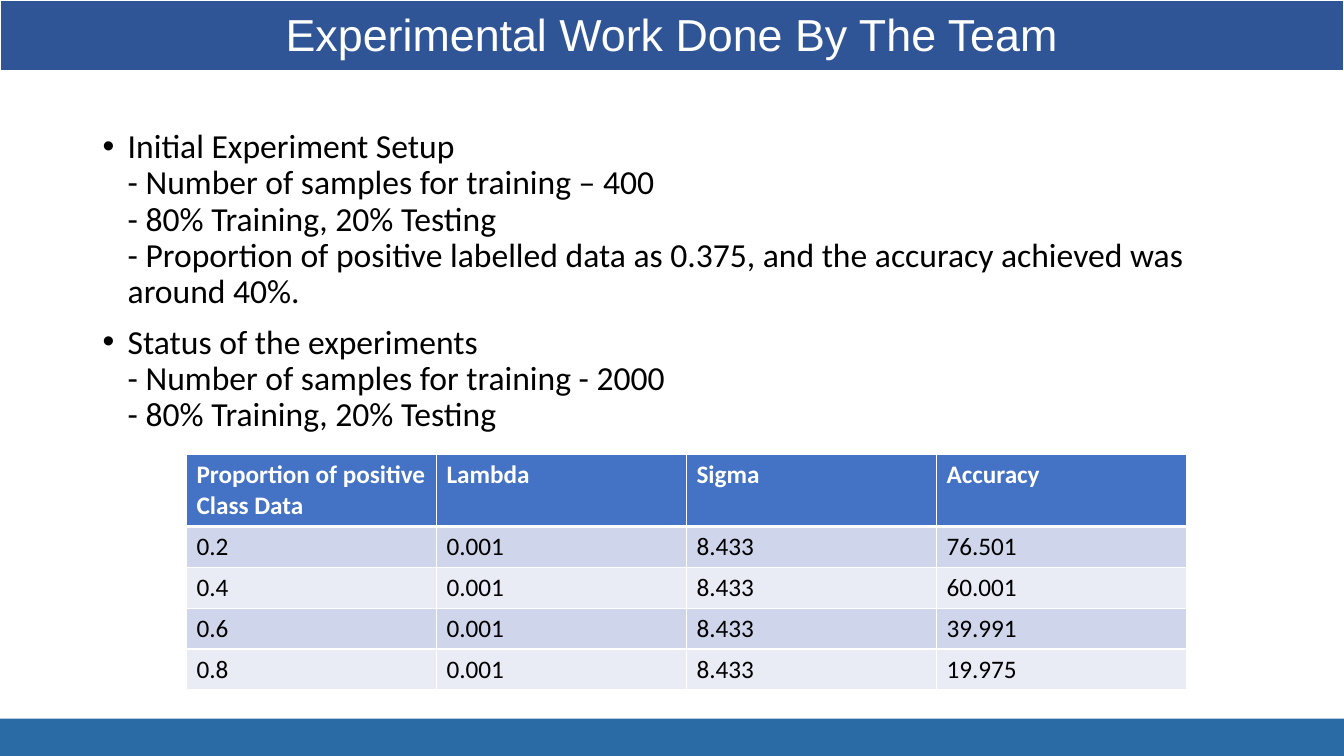
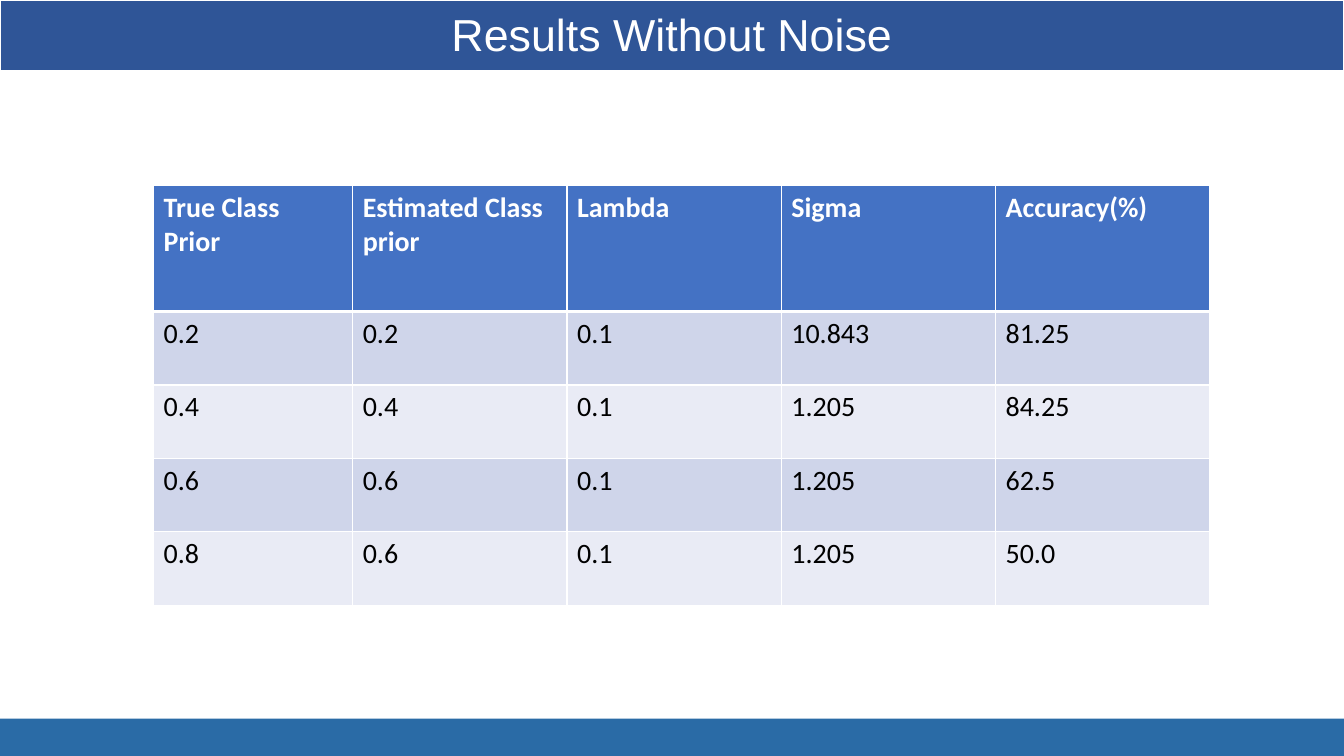
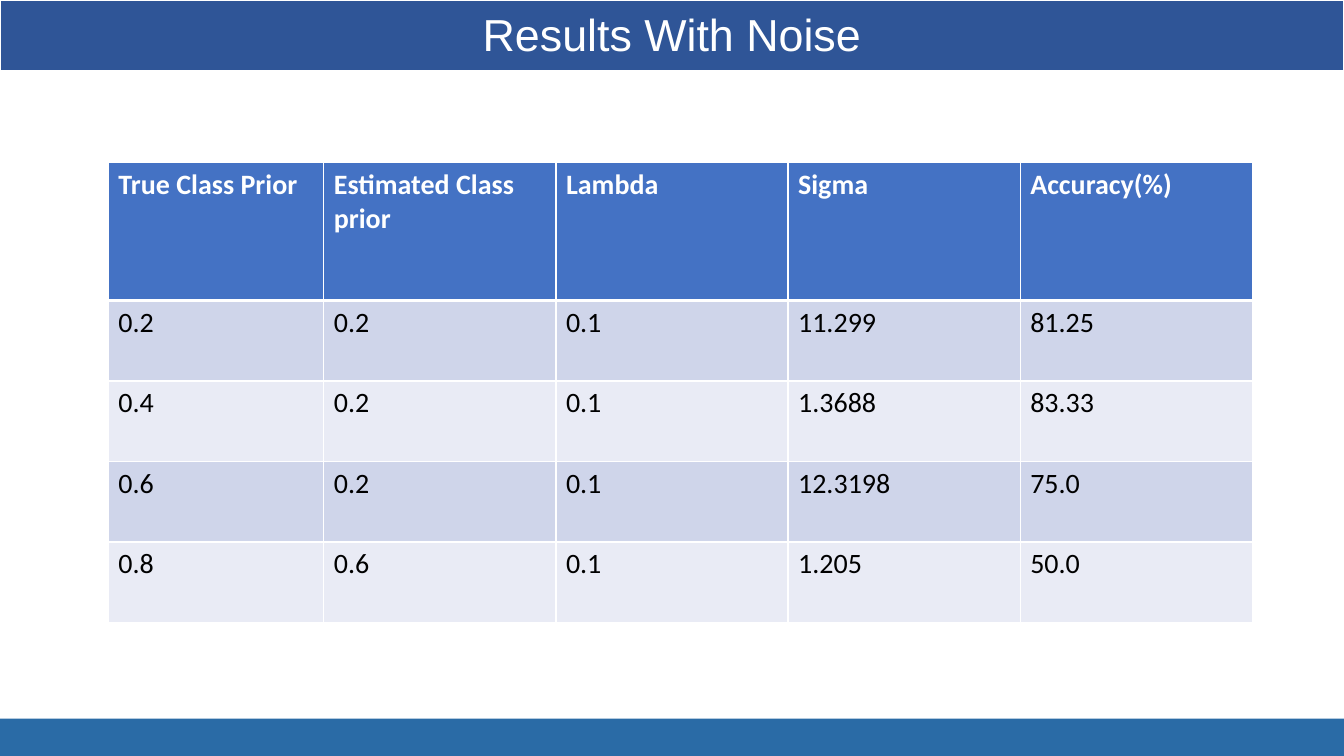
from lxml import etree
from pptx import Presentation
from pptx.dml.color import RGBColor
from pptx.enum.shapes import MSO_SHAPE
from pptx.enum.text import MSO_ANCHOR, MSO_AUTO_SIZE, PP_ALIGN
from pptx.oxml.ns import qn
from pptx.util import Cm, Pt

RECTANGLE = MSO_SHAPE.RECTANGLE
TOP, MIDDLE = MSO_ANCHOR.TOP, MSO_ANCHOR.MIDDLE
CENTER, LEFT = PP_ALIGN.CENTER, PP_ALIGN.LEFT
NO_AUTOFIT = MSO_AUTO_SIZE.NONE

# Shared look
PAGE_WIDTH, PAGE_HEIGHT = Cm(33.87), Cm(19.05)
TITLE_HEIGHT, FOOTER_TOP, FOOTER_HEIGHT = Cm(1.8), Cm(18.11), Cm(1.02)
TITLE_FONT, BODY_FONT = "Arial", "Calibri"
WHITE, BLACK = "FFFFFF", "000000"
TITLE_BLUE, FOOTER_BLUE, HEADER_BLUE = "2F5597", "2A6BA6", "4472C4"
ROW_FILLS = ("CFD5EA", "E9EBF5")
THIN, THICK = 1, 3
LAYOUT_WITH_BODY, LAYOUT_BLANK = 1, 6

# Content: each bullet is a list of lines; table lengths are in centimetres
RESULT_HEADER = ("True Class Prior", "Estimated Class prior", "Lambda", "Sigma", "Accuracy(%)")
PAGES = [
    {
        "title": "Experimental Work Done By The Team",
        "bullets": [
            [
                "Initial Experiment Setup",
                "- Number of samples for training – 400",
                "- 80% Training, 20% Testing",
                "- Proportion of positive labelled data as 0.375, "
                "and the accuracy achieved was around 40%.",
            ],
            [
                "Status of the experiments",
                "- Number of samples for training - 2000",
                "- 80% Training, 20% Testing",
            ],
        ],
        "table": {
            "left": 4.7, "top": 11.46, "first_column": 6.3, "other_columns": 6.3,
            "header_height": 1.8, "row_height": 1.03, "size": 18,
            "rows": [
                ("Proportion of positive Class Data", "Lambda", "Sigma", "Accuracy"),
                ("0.2", "0.001", "8.433", "76.501"),
                ("0.4", "0.001", "8.433", "60.001"),
                ("0.6", "0.001", "8.433", "39.991"),
                ("0.8", "0.001", "8.433", "19.975"),
            ],
        },
    },
    {
        "title": "Results Without Noise",
        "table": {
            "left": 3.87, "top": 4.68, "first_column": 5.02, "other_columns": 5.4,
            "header_height": 3.17, "row_height": 1.85, "size": 20,
            "rows": [
                RESULT_HEADER,
                ("0.2", "0.2", "0.1", "10.843", "81.25"),
                ("0.4", "0.4", "0.1", "1.205", "84.25"),
                ("0.6", "0.6", "0.1", "1.205", "62.5"),
                ("0.8", "0.6", "0.1", "1.205", "50.0"),
            ],
        },
    },
    {
        "title": "Results With Noise",
        "table": {
            "left": 2.73, "top": 4.1, "first_column": 5.43, "other_columns": 5.85,
            "header_height": 3.47, "row_height": 2.03, "size": 20,
            "rows": [
                RESULT_HEADER,
                ("0.2", "0.2", "0.1", "11.299", "81.25"),
                ("0.4", "0.2", "0.1", "1.3688", "83.33"),
                ("0.6", "0.2", "0.1", "12.3198", "75.0"),
                ("0.8", "0.6", "0.1", "1.205", "50.0"),
            ],
        },
    },
]


def color(value):
    return RGBColor.from_string(value)


def paint(item, value):
    item.fill.solid()
    item.fill.fore_color.rgb = color(value)


def add_span(para, text, size, font, text_color, bold=False):
    span = para.add_run()
    span.text = text
    span.font.size, span.font.name, span.font.bold = Pt(size), font, bold
    span.font.color.rgb = color(text_color)


def add_grid(page, left, top, widths, heights):
    table = page.shapes.add_table(
        len(heights), len(widths), left, top, sum(widths), sum(heights)
    ).table
    for column, width in zip(table.columns, widths):
        column.width = width
    for row, height in zip(table.rows, heights):
        row.height = height
    return table


def style_cell(cell, fill_color, top=THIN, bottom=THIN):
    paint(cell, fill_color)
    properties = cell._tc.get_or_add_tcPr()
    sides = {"lnL": THIN, "lnR": THIN, "lnT": top, "lnB": bottom}
    for position, (side, width) in enumerate(sides.items()):
        line = etree.Element(qn(f"a:{side}"), w=str(Pt(width)))
        fill = etree.SubElement(line, qn("a:solidFill"))
        etree.SubElement(fill, qn("a:srgbClr"), val=WHITE)
        properties.insert(position, line)


def add_title(page, text):
    # The title band is a table of one cell
    cell = add_grid(page, 0, 0, [PAGE_WIDTH], [TITLE_HEIGHT]).cell(0, 0)
    style_cell(cell, TITLE_BLUE, bottom=THICK)
    cell.vertical_anchor = MIDDLE
    para = cell.text_frame.paragraphs[0]
    para.alignment = CENTER
    add_span(para, text, 32, TITLE_FONT, WHITE)


def add_footer(page):
    band = page.shapes.add_shape(RECTANGLE, 0, FOOTER_TOP, PAGE_WIDTH, FOOTER_HEIGHT)
    band.shadow.inherit = False
    paint(band, FOOTER_BLUE)
    band.line.fill.background()


def add_bullets(page, bullets):
    box = page.placeholders[1]
    box.left, box.top, box.width, box.height = Cm(2.33), Cm(3.14), Cm(29.21), Cm(14)
    frame = box.text_frame
    frame.auto_size, frame.vertical_anchor, frame.word_wrap = NO_AUTOFIT, TOP, True
    for index, lines in enumerate(bullets):
        para = frame.add_paragraph() if index else frame.paragraphs[0]
        para.alignment, para.line_spacing, para.space_before = LEFT, 0.9, Pt(10)
        # Hanging indent
        properties = para._p.get_or_add_pPr()
        properties.set("marL", str(Pt(18)))
        properties.set("indent", str(-Pt(18)))
        for number, line in enumerate(lines):
            if number:
                para.add_line_break()
            add_span(para, line, 24, BODY_FONT, BLACK)


def add_data_table(page, data):
    rows = data["rows"]
    widths = [Cm(data["first_column"])] + [Cm(data["other_columns"])] * (len(rows[0]) - 1)
    heights = [Cm(data["header_height"])] + [Cm(data["row_height"])] * (len(rows) - 1)
    table = add_grid(page, Cm(data["left"]), Cm(data["top"]), widths, heights)
    for index, (row, texts) in enumerate(zip(table.rows, rows)):
        header = index == 0
        fill_color = HEADER_BLUE if header else ROW_FILLS[(index - 1) % 2]
        text_color = WHITE if header else BLACK
        for cell, text in zip(row.cells, texts):
            # A thicker rule parts the header from the data
            style_cell(cell, fill_color, top=THICK if index == 1 else THIN,
                       bottom=THICK if header else THIN)
            add_span(cell.text_frame.paragraphs[0], text, data["size"], BODY_FONT,
                     text_color, bold=header)


def main():
    deck = Presentation()
    deck.slide_width, deck.slide_height = PAGE_WIDTH, PAGE_HEIGHT
    for content in PAGES:
        bullets = content.get("bullets")
        layout = LAYOUT_WITH_BODY if bullets else LAYOUT_BLANK
        page = deck.slides.add_slide(deck.slide_layouts[layout])
        add_title(page, content["title"])
        add_footer(page)
        if bullets:
            # The title band takes the place of the empty title placeholder
            empty_title = page.shapes.title.element
            empty_title.getparent().remove(empty_title)
            add_bullets(page, bullets)
        add_data_table(page, content["table"])
    deck.save("out.pptx")


if __name__ == "__main__":
    main()
